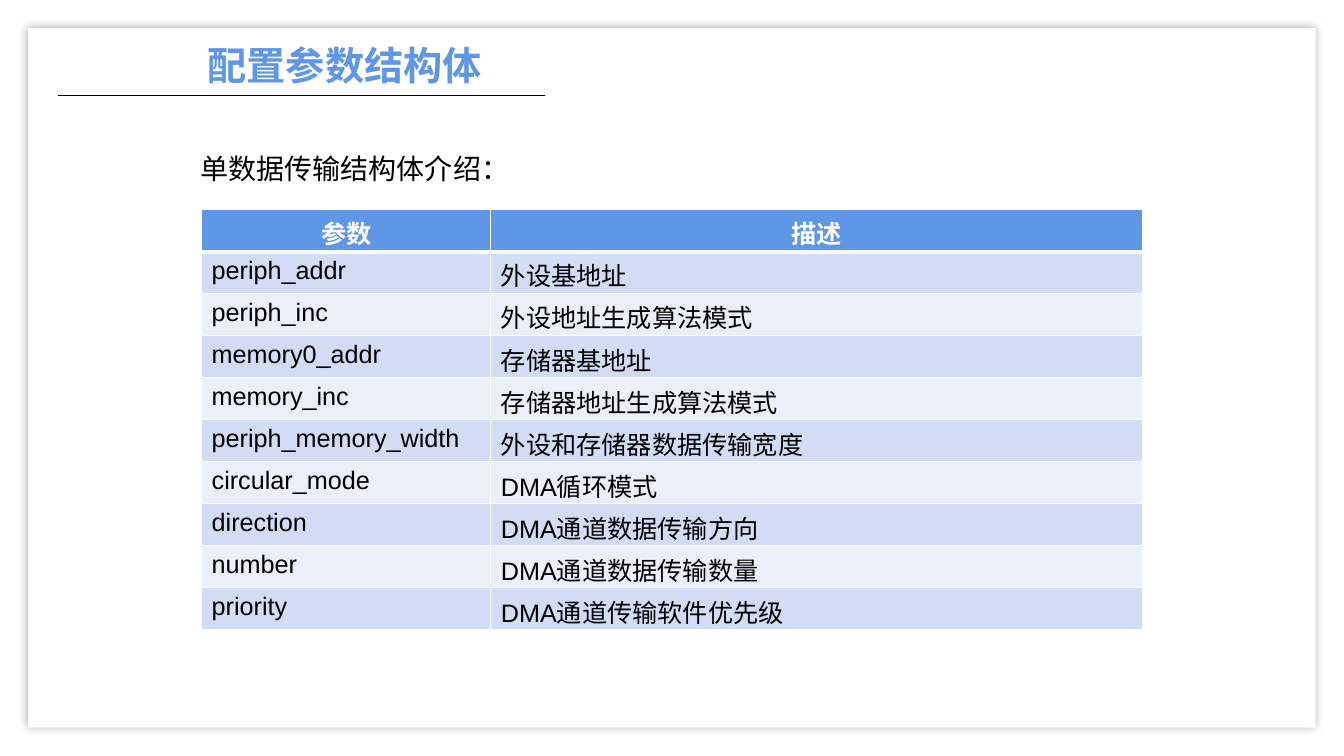
import pptx
import pptx.util
import pptx.oxml
import pptx.dml.color
import pptx.enum.text
import pptx.enum.shapes

In, Pt = pptx.util.Inches, pptx.util.Pt
RGB = pptx.dml.color.RGBColor.from_string
ALIGN = pptx.enum.text.PP_ALIGN
NS = 'xmlns:a="http://schemas.openxmlformats.org/drawingml/2006/main"'

THEME = {
    "white": "FFFFFF", "line": "000000", "accent": "6096E6",
    "bands": ("D2DDF5", "EAEFFA"), "shadow": "404040",
    "title": {"size": Pt(28), "name": "Arial", "bold": True, "color": "6096E6"},
    "intro": {"size": Pt(20), "name": "Calibri", "bold": False, "color": "000000"},
    "header": {"size": Pt(18), "name": "Arial", "bold": True, "color": "FFFFFF"},
    "cell": {"size": Pt(18), "name": "Arial", "bold": False, "color": "000000"},
}


def write(tf, text, style, align):
    p = tf.paragraphs[0]
    p.alignment = align
    p.space_before = Pt(0)
    r = p.add_run()
    r.text = text
    for key, value in THEME[style].items():
        if key == "color":
            r.font.color.rgb = RGB(value)
        else:
            setattr(r.font, key, value)
    return p


prs = pptx.Presentation()
prs.slide_width, prs.slide_height = W, H = In(13.333), In(7.5)
s = prs.slides.add_slide(prs.slide_layouts[1])
s.background.fill.solid()
s.background.fill.fore_color.rgb = RGB(THEME["white"])

# White panel with a soft shadow, behind everything
margin = In(0.28)
panel = s.shapes.add_shape(pptx.enum.shapes.MSO_SHAPE.RECTANGLE,
                           margin, margin, W - 2 * margin, H - 2 * margin)
panel.fill.solid()
panel.fill.fore_color.rgb = RGB(THEME["white"])
panel.line.fill.background()
panel._element.spPr.append(pptx.oxml.parse_xml(
    f'<a:effectLst {NS}><a:outerShdw blurRad="{Pt(6)}" dist="0" algn="ctr" rotWithShape="0">'
    f'<a:srgbClr val="{THEME["shadow"]}"><a:alpha val="41000"/></a:srgbClr>'
    '</a:outerShdw></a:effectLst>'))
panel._element.getparent().insert(2, panel._element)

# Title and intro line
for sp, box, text, style, align in (
        (s.shapes.title, (1.2, 0.36, 4.44, 0.57), "配置参数结构体", "title", ALIGN.CENTER),
        (s.placeholders[1], (1.6, 1.45, 8.1, 0.44), "单数据传输结构体介绍：", "intro", ALIGN.LEFT)):
    sp.left, sp.top, sp.width, sp.height = map(In, box)
    tf = sp.text_frame
    tf.word_wrap = True
    tf.auto_size = pptx.enum.text.MSO_AUTO_SIZE.SHAPE_TO_FIT_TEXT
    tf.vertical_anchor = pptx.enum.text.MSO_ANCHOR.TOP
    p = write(tf, text, style, align)
pPr = p._p.get_or_add_pPr()
pPr.set("marL", "0")
pPr.set("indent", str(In(0.29)))
pPr.append(pptx.oxml.parse_xml(f"<a:buNone {NS}/>"))

# Rule under the title
rule = s.shapes.add_connector(pptx.enum.shapes.MSO_CONNECTOR.STRAIGHT,
                              In(0.58), In(0.95), In(5.41), In(0.95))
rule.line.color.rgb = RGB(THEME["line"])
rule.line.width = Pt(0.5)
rule._element.spPr.append(pptx.oxml.parse_xml(f"<a:effectLst {NS}/>"))

# Parameter table
rows = [
    ("参数", "描述"),
    ("periph_addr", "外设基地址"),
    ("periph_inc", "外设地址生成算法模式"),
    ("memory0_addr", "存储器基地址"),
    ("memory_inc", "存储器地址生成算法模式"),
    ("periph_memory_width", "外设和存储器数据传输宽度"),
    ("circular_mode", "DMA循环模式"),
    ("direction", "DMA通道数据传输方向"),
    ("number", "DMA通道数据传输数量"),
    ("priority", "DMA通道传输软件优先级"),
]
table_width = int(W * 0.7)
table = s.shapes.add_table(len(rows), 2, int(W * 0.15), In(2.08),
                           table_width, In(4.17)).table
table.columns[0].width = In(2.87)
table.columns[1].width = table_width - In(2.87)
for i, row in enumerate(rows):
    header = i == 0
    for j, text in enumerate(row):
        cell = table.cell(i, j)
        write(cell.text_frame, text, "header" if header else "cell",
              ALIGN.CENTER if header else ALIGN.LEFT)
        # Thick border between the header and the first data row
        widths = {"L": 1, "R": 1, "T": 3 if i == 1 else 1, "B": 3 if header else 1}
        for side, width in widths.items():
            cell._tc.get_or_add_tcPr().append(pptx.oxml.parse_xml(
                f'<a:ln{side} {NS} w="{Pt(width)}"><a:solidFill>'
                f'<a:srgbClr val="{THEME["white"]}"/></a:solidFill></a:ln{side}>'))
        cell.fill.solid()
        cell.fill.fore_color.rgb = RGB(THEME["accent"] if header else THEME["bands"][(i - 1) % 2])

prs.save("out.pptx")
